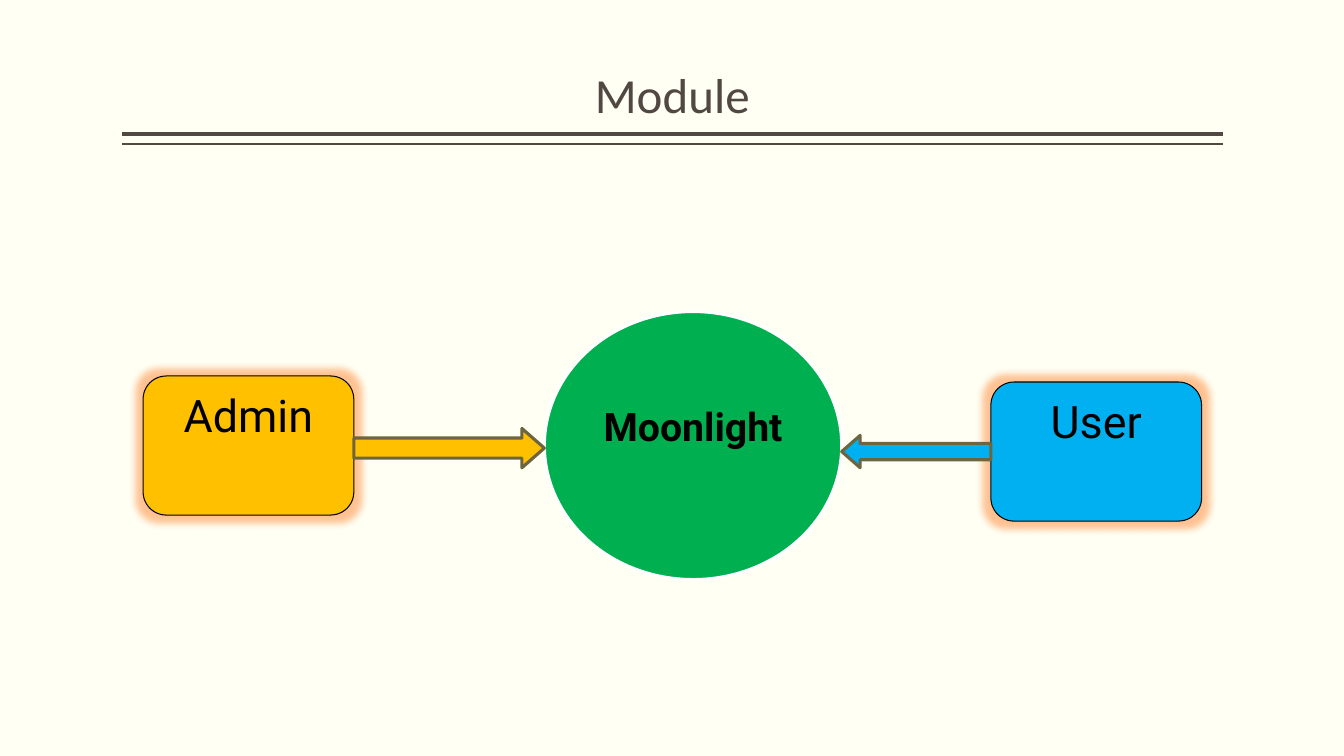
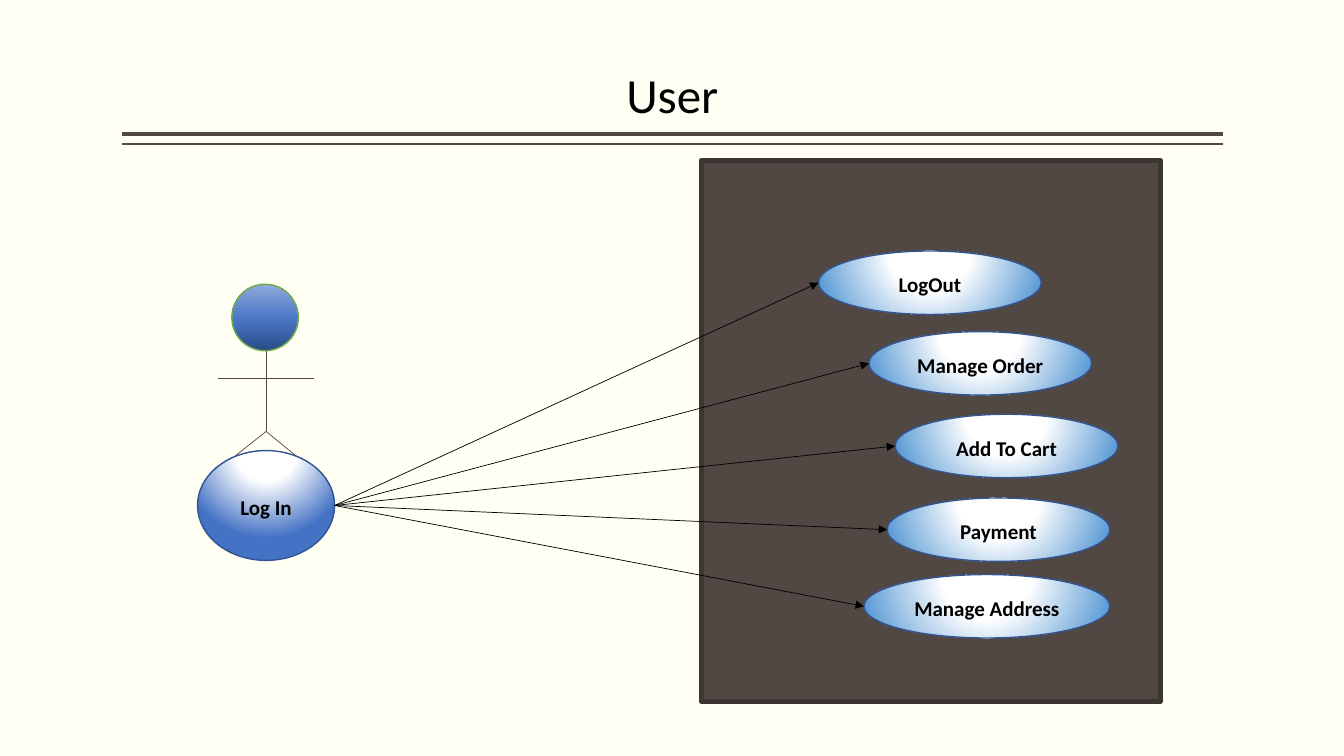
from dataclasses import dataclass
from typing import NamedTuple

from lxml import etree
from pptx import Presentation
from pptx import util as u
from pptx.dml.color import RGBColor
from pptx.enum import shapes, text
from pptx.oxml.ns import nsdecls, qn


@dataclass(frozen=True)
class Theme:
    background: str = "FFFFF3"
    brown: str = "514843"
    panel_edge: str = "3C3532"
    black: str = "000000"
    white: str = "FFFFFF"
    green: str = "00B050"
    amber: str = "FFC000"
    sky: str = "00B0F0"
    arrow_edge: str = "6D6540"
    glow: str = "FF6600"
    oval_edge: str = "325491"
    head_edge: str = "70AD47"
    login_blue: str = "4472C4"
    case_blue: str = "5B9BD5"
    head_stops: tuple = ((0, "2A4B86"), (48, "4A76C6"), (100, "8FAADC"))
    title_font: str = "Calibri"
    module_font: str = "Roboto"
    title_size: float = 35
    role_size: float = 32
    system_size: float = 28
    case_size: float = 15


THEME = Theme()
SLIDE_WIDTH, SLIDE_HEIGHT = u.Inches(13.333), u.Inches(7.5)


class Area(NamedTuple):
    """A rectangle in percent of the slide's width and height."""
    left: float
    top: float
    width: float
    height: float

    @property
    def right(self) -> float:
        return self.left + self.width

    @property
    def middle(self) -> float:
        return self.top + self.height / 2


class Role(NamedTuple):
    name: str
    area: Area
    color: str
    arrow: shapes.MSO_SHAPE
    arrow_middle: float
    arrow_height: float


class UseCase(NamedTuple):
    name: str
    left: float
    top: float
    width: float = 16.58
    height: float = 8.4


TITLE_AREA = Area(9.08, 1.07, 81.9, 16)
TITLE_RULES = ((17.73, 3), (19.07, 1))

SYSTEM_AREA = Area(40.5, 41.2, 22.13, 35.47)
ROLES = (
    Role("Admin", Area(10.65, 49.73, 15.68, 18.4), THEME.amber,
         shapes.MSO_SHAPE.RIGHT_ARROW, 59.27, 5.2),
    Role("User", Area(73.73, 50.53, 15.68, 18.4), THEME.sky,
         shapes.MSO_SHAPE.LEFT_ARROW, 59.73, 4.27),
)

PANEL_AREA = Area(52.2, 21.2, 34.13, 71.6)
HEAD_AREA = Area(17.25, 37.6, 4.95, 8.8)
LOGIN_AREA = Area(14.7, 59.6, 10.2, 14.53)
SPINE_X, HIP_Y, FOOT_Y = 19.8, 57.07, 60.67
LIMBS = (
    (SPINE_X, 46.4, SPINE_X, HIP_Y),
    (16.2, 50, 23.4, 50),
    (SPINE_X, HIP_Y, 22.28, FOOT_Y),
    (SPINE_X, HIP_Y, 17.25, FOOT_Y),
)
USE_CASES = (
    UseCase("LogOut", 60.9, 33.2),
    UseCase("Manage Order", 64.65, 43.87),
    UseCase("Add To Cart", 66.6, 54.8),
    UseCase("Payment", 66, 65.87),
    UseCase("Manage Address", 64.28, 76, 18.3),
)


def across(percent: float) -> int:
    return round(SLIDE_WIDTH * percent / 100)


def down(percent: float) -> int:
    return round(SLIDE_HEIGHT * percent / 100)


def place(shape, area: Area) -> None:
    shape.left, shape.top = across(area.left), down(area.top)
    shape.width, shape.height = across(area.width), down(area.height)


def add_figure(slide, kind, area: Area, edge: str, weight: float, fill: str = ""):
    shape = slide.shapes.add_shape(kind, 0, 0, 0, 0)
    place(shape, area)
    shape.shadow.inherit = False
    shape.line.color.rgb = RGBColor.from_string(edge)
    shape.line.width = u.Pt(weight)
    if fill:
        shape.fill.solid()
        shape.fill.fore_color.rgb = RGBColor.from_string(fill)
    return shape


def set_gradient(shape, stops, direction: str) -> None:
    """Fill with (percent, colour) stops; direction is the a:lin or a:path element."""
    marks = "".join(f'<a:gs pos="{position * 1000}"><a:srgbClr val="{color}"/></a:gs>'
                    for position, color in stops)
    gradient = etree.fromstring(
        f'<a:gradFill {nsdecls("a")} rotWithShape="1"><a:gsLst>{marks}</a:gsLst>'
        f'{direction}</a:gradFill>')
    shape.element.spPr.find(qn("a:prstGeom")).addnext(gradient)


def add_glow(shape) -> None:
    effects = shape.element.spPr.find(qn("a:effectLst"))
    effects.append(etree.fromstring(
        f'<a:glow {nsdecls("a")} rad="{u.Pt(11)}"><a:srgbClr val="{THEME.glow}">'
        '<a:alpha val="40000"/></a:srgbClr></a:glow>'))


def add_line(slide, ends, color: str, weight: float, arrow: bool = False):
    x1, y1, x2, y2 = ends
    connector = slide.shapes.add_connector(
        shapes.MSO_CONNECTOR.STRAIGHT, across(x1), down(y1), across(x2), down(y2))
    connector.line.color.rgb = RGBColor.from_string(color)
    connector.line.width = u.Pt(weight)
    properties = connector.element.spPr
    if arrow:
        etree.SubElement(properties.find(qn("a:ln")), qn("a:tailEnd"), type="triangle")
    etree.SubElement(properties, qn("a:effectLst"))
    return connector


def write(shape, words: str, font: str, size: float, color: str = THEME.black,
          bold: bool = False, anchor=text.MSO_ANCHOR.TOP):
    frame = shape.text_frame
    frame.text = words
    frame.vertical_anchor = anchor
    paragraph = frame.paragraphs[0]
    paragraph.alignment = text.PP_ALIGN.CENTER
    for run in paragraph.runs:
        run.font.name, run.font.size, run.font.bold = font, u.Pt(size), bold
        run.font.color.rgb = RGBColor.from_string(color)
    return paragraph


def add_titled_slide(presentation, layout, title: str, color: str):
    slide = presentation.slides.add_slide(layout)
    placeholder = slide.shapes.title
    place(placeholder, TITLE_AREA)
    frame = placeholder.text_frame
    frame.margin_left = frame.margin_right = 0
    frame.auto_size = text.MSO_AUTO_SIZE.NONE
    paragraph = write(placeholder, title, THEME.title_font, THEME.title_size, color,
                      anchor=text.MSO_ANCHOR.BOTTOM)
    paragraph.line_spacing = 0.9
    return slide


def add_title_rules(slide, layout) -> None:
    """Draw the double rule, then hand it to the layout so that all slides show it."""
    for y, weight in TITLE_RULES:
        rule = add_line(slide, (TITLE_AREA.left, y, TITLE_AREA.right, y), THEME.brown, weight)
        layout.shapes.element.append(rule.element)


def add_oval(slide, name: str, area: Area, color: str):
    oval = add_figure(slide, shapes.MSO_SHAPE.OVAL, area, THEME.oval_edge, 1)
    set_gradient(oval, ((0, THEME.white), (35, THEME.white), (100, color)),
                 '<a:path path="circle"><a:fillToRect l="50000" t="-80000" '
                 'r="50000" b="180000"/></a:path>')
    paragraph = write(oval, name, THEME.title_font, THEME.case_size, bold=True,
                      anchor=text.MSO_ANCHOR.MIDDLE)
    paragraph.line_spacing = 1.15
    return paragraph


def add_role(slide, role: Role) -> None:
    box = add_figure(slide, shapes.MSO_SHAPE.ROUNDED_RECTANGLE, role.area,
                     THEME.black, 0.75, role.color)
    add_glow(box)
    write(box, role.name, THEME.module_font, THEME.role_size)
    box.text_frame.word_wrap = False

    left = min(role.area.right, SYSTEM_AREA.right)
    right = max(role.area.left, SYSTEM_AREA.left)
    arrow_area = Area(left, role.arrow_middle - role.arrow_height / 2,
                      right - left, role.arrow_height)
    arrow = add_figure(slide, role.arrow, arrow_area, THEME.arrow_edge, 2.25, role.color)
    arrow.adjustments[0], arrow.adjustments[1] = 0.51, 0.57


def draw_modules(slide) -> None:
    system = add_figure(slide, shapes.MSO_SHAPE.OVAL, SYSTEM_AREA,
                        THEME.white, 2.25, THEME.green)
    write(system, "Moonlight", THEME.module_font, THEME.system_size, bold=True)
    system.text_frame.word_wrap = False
    system.text_frame.margin_top = u.Inches(0.51)
    for role in ROLES:
        add_role(slide, role)


def draw_actor(slide) -> None:
    head = add_figure(slide, shapes.MSO_SHAPE.OVAL, HEAD_AREA, THEME.head_edge, 1)
    set_gradient(head, THEME.head_stops, '<a:lin ang="16200000" scaled="0"/>')
    for limb in LIMBS:
        add_line(slide, limb, THEME.brown, 0.5)
    add_oval(slide, "Log In", LOGIN_AREA, THEME.login_blue)


def draw_use_cases(slide) -> None:
    panel = add_figure(slide, shapes.MSO_SHAPE.RECTANGLE, PANEL_AREA,
                       THEME.panel_edge, 3.78, THEME.brown)
    slide.shapes.element.insert_element_before(panel.element, "p:sp")
    draw_actor(slide)
    for case in USE_CASES:
        area = Area(*case[1:])
        add_oval(slide, case.name, area, THEME.case_blue).space_after = u.Pt(10)
        add_line(slide, (LOGIN_AREA.right, LOGIN_AREA.middle, area.left, area.middle),
                 THEME.black, 0.5, arrow=True)


def main() -> None:
    presentation = Presentation()
    presentation.slide_width, presentation.slide_height = SLIDE_WIDTH, SLIDE_HEIGHT
    background = presentation.slide_master.background.fill
    background.solid()
    background.fore_color.rgb = RGBColor.from_string(THEME.background)
    layout = presentation.slide_layouts.get_by_name("Title Only")

    module_slide = add_titled_slide(presentation, layout, "Module", THEME.brown)
    add_title_rules(module_slide, layout)
    draw_modules(module_slide)
    draw_use_cases(add_titled_slide(presentation, layout, "User", THEME.black))
    presentation.save("out.pptx")


if __name__ == "__main__":
    main()
